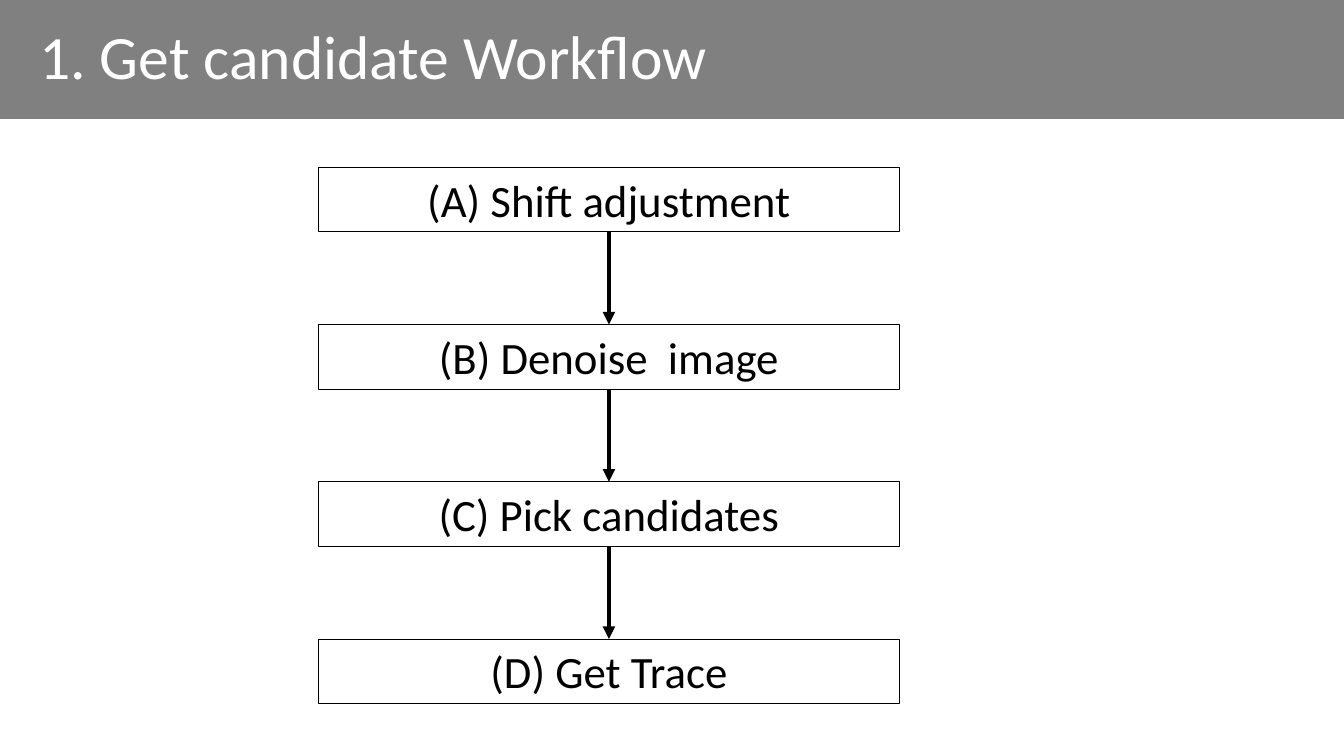
from itertools import pairwise

from lxml import etree
from pptx import Presentation
from pptx import util as u
from pptx.dml.color import RGBColor
from pptx.enum import shapes, text
from pptx.oxml.ns import qn

PX = u.Inches(1) // 100
GREY = RGBColor(0x80, 0x80, 0x80)
WHITE = RGBColor(0xFF, 0xFF, 0xFF)
BLACK = RGBColor(0, 0, 0)

STEPS = ["(A) Shift adjustment", "(B) Denoise  image", "(C) Pick candidates", "(D) Get Trace"]
STEP_LEFT, STEP_TOP, STEP_WIDTH, STEP_HEIGHT, STEP_PITCH = 316, 166, 576, 64, 156
TOP_SIDE, BOTTOM_SIDE = 0, 2


def apply_format(target, values):
    for name, value in values.items():
        setattr(target, name, value)


class WorkflowSlide:
    font_name = "Calibri"
    title_size = u.Pt(44)
    step_size = u.Pt(32)
    outline_width = u.Pt(0.75)
    arrow_width = u.Pt(3)

    def __init__(self, presentation):
        self.slide = presentation.slides.add_slide(presentation.slide_layouts[5])

    def label(self, shape, words, size, color, frame_format, paragraph_format):
        frame = shape.text_frame
        frame.text = words
        apply_format(frame, {"word_wrap": True, **frame_format})
        paragraph = frame.paragraphs[0]
        apply_format(paragraph, paragraph_format)
        apply_format(paragraph.font, {"name": self.font_name, "size": size})
        paragraph.font.color.rgb = color

    def rectangle(self, left, top, width, height):
        shape = self.slide.shapes.add_shape(
            shapes.MSO_SHAPE.RECTANGLE, left * PX, top * PX, width * PX, height * PX)
        shape.shadow.inherit = False
        return shape

    def banner(self, width, height):
        shape = self.rectangle(0, 0, width, height)
        shape.fill.solid()
        shape.fill.fore_color.rgb = GREY
        shape.line.fill.background()
        self.slide.shapes.title.element.addprevious(shape.element)

    def title(self, words, left, top, width, height):
        shape = self.slide.shapes.title
        apply_format(shape, {"left": left * PX, "top": top * PX,
                             "width": width * PX, "height": height * PX})
        self.label(shape, words, self.title_size, WHITE,
                   {"vertical_anchor": text.MSO_ANCHOR.MIDDLE,
                    "auto_size": text.MSO_AUTO_SIZE.NONE},
                   {"alignment": text.PP_ALIGN.LEFT, "line_spacing": 0.9})

    def step(self, words, top):
        shape = self.rectangle(STEP_LEFT, top, STEP_WIDTH, STEP_HEIGHT)
        shape.fill.background()
        shape.line.color.rgb = BLACK
        shape.line.width = self.outline_width
        self.label(shape, words, self.step_size, BLACK,
                   {"vertical_anchor": text.MSO_ANCHOR.TOP,
                    "auto_size": text.MSO_AUTO_SIZE.SHAPE_TO_FIT_TEXT},
                   {"alignment": text.PP_ALIGN.CENTER})
        return shape

    def arrow(self, upper, lower):
        connector = self.slide.shapes.add_connector(shapes.MSO_CONNECTOR.STRAIGHT, 0, 0, 0, 0)
        connector.begin_connect(upper, BOTTOM_SIDE)
        connector.end_connect(lower, TOP_SIDE)
        connector.line.color.rgb = BLACK
        connector.line.width = self.arrow_width
        properties = connector.element.spPr
        etree.SubElement(properties.find(qn("a:ln")), qn("a:tailEnd"), type="triangle")
        etree.SubElement(properties, qn("a:effectLst"))


def main():
    presentation = Presentation()
    apply_format(presentation, {"slide_width": 1333 * PX, "slide_height": 750 * PX})
    workflow = WorkflowSlide(presentation)
    workflow.banner(1333, 118)
    workflow.title("1. Get candidate Workflow", 29, 17, 1150, 84)
    boxes = [workflow.step(words, STEP_TOP + index * STEP_PITCH)
             for index, words in enumerate(STEPS)]
    for upper, lower in pairwise(boxes):
        workflow.arrow(upper, lower)
    presentation.save("out.pptx")


if __name__ == "__main__":
    main()
